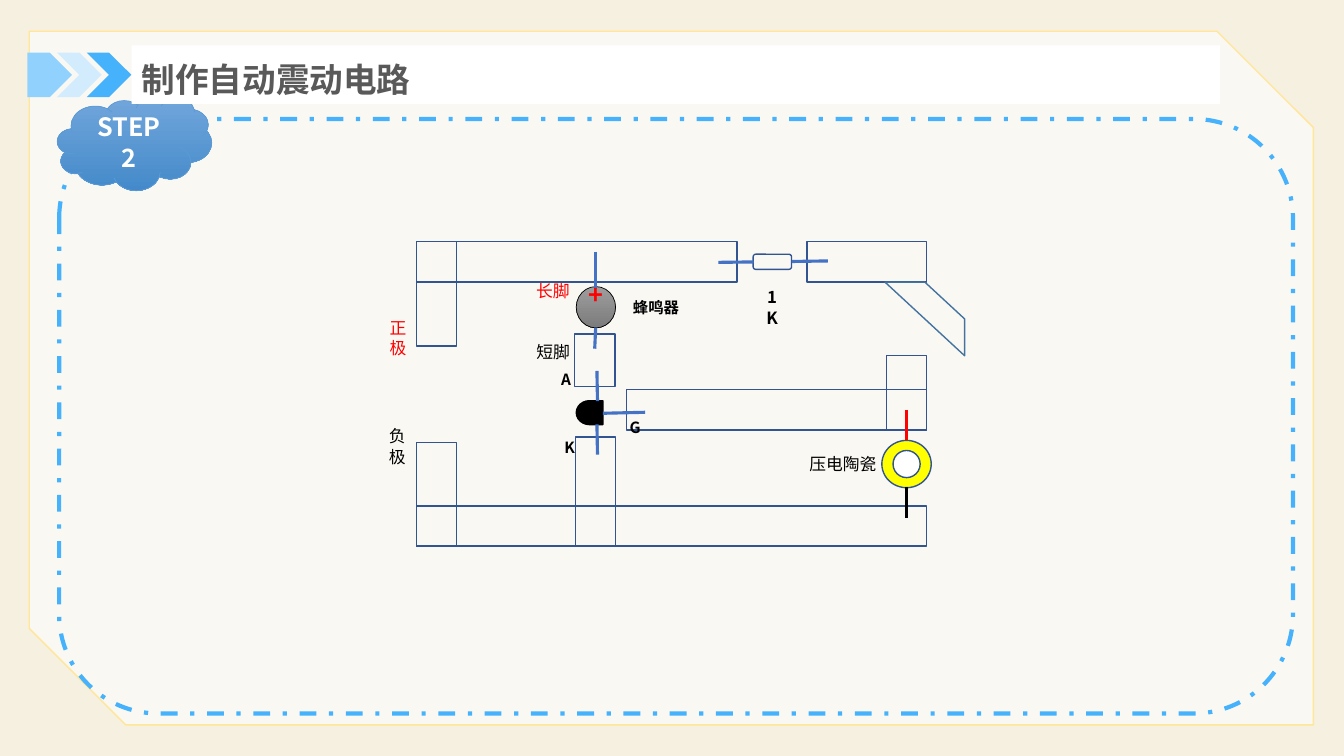
from dataclasses import dataclass

from lxml import etree
from pptx import Presentation
from pptx import slide as sl
from pptx import util as u
from pptx.dml import color, fill as fills
from pptx.enum import dml, shapes, text
from pptx.oxml import ns
from pptx.text import text as txt

Kind = shapes.MSO_SHAPE
Box = tuple[float, float, float, float]  # left, top, width, height
Point = tuple[float, float]


@dataclass(frozen=True)
class Theme:
    font: str = "Noto Sans CJK SC"
    page: str = "F6F0E1"
    panel: str = "FAF8F3"
    panel_edge: str = "FFE699"
    sky: str = "46B2FC"
    sky_mid: str = "91D1FD"
    sky_pale: str = "D2ECFE"
    cloud_edge: str = "5B9BD5"
    cloud_shade: tuple[str, str] = ("71A6DB", "448ACA")
    buzzer_shade: tuple[str, str] = ("9D9D9D", "7C7C7C")
    foil: str = "325491"
    fold: str = "43739E"
    lead: str = "4472C4"
    heading: str = "595959"
    red: str = "FF0000"
    yellow: str = "FFFF00"
    black: str = "000000"
    white: str = "FFFFFF"
    title_size: float = 24
    step_size: float = 18
    label_size: float = 12
    pin_size: float = 11


THEME = Theme()


@dataclass(frozen=True)
class Part:
    kind: Kind
    box: Box
    fill: str | tuple[str, str] | None = None  # a pair shades from top to bottom
    line: str | None = THEME.foil
    weight: float = 1
    rotation: float = 0
    adjust: tuple[float, ...] = ()


@dataclass(frozen=True)
class Lead:
    start: Point
    end: Point
    color: str = THEME.lead


@dataclass(frozen=True)
class Label:
    words: str
    box: Box
    size: float = THEME.label_size
    color: str = THEME.black
    bold: bool = False
    wrap: bool = True
    align: text.PP_ALIGN = text.PP_ALIGN.LEFT


STRIP = 28.8  # width of every foil strip
LEFT, RIGHT = 297.5, 662
TOP, BOTTOM = 172.6, 390.2
GATE_TOP = 278.4

PANEL = Part(Kind.SNIP_2_DIAG_RECTANGLE, (20.9, 22.3, 917.3, 495.4), THEME.panel,
             THEME.panel_edge, adjust=(0, 0.139))
FRAME = Part(Kind.ROUNDED_RECTANGLE, (42.3, 85, 881.3, 424.6), None, THEME.sky, 3)
CLOUD = Part(Kind.CLOUD, (41, 69.8, 110.2, 66.2), THEME.cloud_shade, THEME.cloud_edge, 0.5)
TITLE_BOX: Box = (94, 32.4, 777.6, 41.8)

ARROWS = [
    Part(kind, (19.5 + 21.2 * step, 37.5, 31.9, 31.9), shade, None)
    for step, (kind, shade) in enumerate([
        (Kind.PENTAGON, THEME.sky_mid),
        (Kind.CHEVRON, THEME.sky_pale),
        (Kind.CHEVRON, THEME.sky),
    ])
]

STRIPS = [Part(Kind.RECTANGLE, box) for box in [
    (LEFT, TOP, STRIP, 74.5),
    (LEFT, TOP, 229, STRIP),
    (RIGHT - 85.7, TOP, 85.7, STRIP),
    (LEFT, BOTTOM - 74.2, STRIP, 74.2),
    (LEFT, BOTTOM - STRIP, RIGHT - LEFT, STRIP),
    (411, 312, STRIP, BOTTOM - 312),
    (410.6, 238.5, STRIP, 37.4),
    (RIGHT - 214.6, GATE_TOP, 214.6, STRIP),
    (RIGHT - STRIP, 254, STRIP, 53.2),
]]

COMPONENTS = [
    Part(Kind.DIAGONAL_STRIPE, (634.3, 199.4, 52.6, 56.9), line=THEME.fold, rotation=90),
    Part(Kind.OVAL, (411.6, 204.7, 28.1, 29.5), THEME.buzzer_shade, THEME.black, 0.5),
    Part(Kind.ROUNDED_RECTANGLE, (538, 181.6, 27.4, 10.8)),
    Part(Kind.FLOWCHART_DELAY, (411.6, 286.2, 19, 17.1), THEME.black, THEME.black, rotation=180),
    Part(Kind.OVAL, (629.9, 314.6, 35.3, 33.8), THEME.yellow),
    Part(Kind.OVAL, (637.9, 321.8, 19.4, 19.4), THEME.white),
]

LEADS = [
    Lead((425.5, 179.8), (425.5, 206.6)),
    Lead((425.5, 234), (424.8, 249.1)),
    Lead((565.6, 186.8), (591.3, 186.4)),
    Lead((513.2, 187.4), (538.3, 187.1)),
    Lead((426.4, 265), (426.8, 286.6)),
    Lead((426.4, 303.1), (426.8, 324.7)),
    Lead((430.6, 295.2), (460.8, 294.5)),
    Lead((647.4, 314.6), (647.4, 292.6), THEME.red),
    Lead((647.4, 370.1), (647.4, 347.8), THEME.black),
]

LABELS = [
    Label("+", (413.3, 195.8, 23.8, 28.8), THEME.step_size, THEME.red, True, False),
    Label("长脚", (375.8, 196.8, 39.6, 21.6), color=THEME.red),
    Label("短脚", (376, 240.5, 41, 21.6)),
    Label("1K", (537.8, 201.6, 27.4, 21.6), bold=True, align=text.PP_ALIGN.CENTER),
    Label("A", (393.8, 261, 19.8, 20.2), THEME.pin_size, bold=True),
    Label("K", (396, 309.6, 20.2, 20.2), THEME.pin_size, bold=True, wrap=False),
    Label("G", (442.6, 295.2, 20.2, 20.2), THEME.pin_size, bold=True, wrap=False),
    Label("正极", (271.2, 223.2, 27.4, 36), color=THEME.red),
    Label("负极", (270.7, 300.8, 27.4, 36)),
    Label("压电陶瓷", (571, 320.4, 70.6, 21.6)),
    Label("蜂鸣器", (445, 209.5, 47.5, 20.2), THEME.pin_size, bold=True, wrap=False),
]


def rgb(code: str) -> color.RGBColor:
    return color.RGBColor.from_string(code)


def write(frame: txt.TextFrame, words: str, size: float, shade: str, bold: bool,
          align: text.PP_ALIGN) -> None:
    frame.text = words
    paragraph = frame.paragraphs[0]
    paragraph.alignment = align
    for run in paragraph.runs:
        run.font.size, run.font.bold, run.font.name = u.Pt(size), bold, THEME.font
        run.font.color.rgb = rgb(shade)
        etree.SubElement(run.font._element, ns.qn("a:ea"), typeface=THEME.font)


def paint(fill: fills.FillFormat, shade: str | tuple[str, str] | None) -> None:
    if shade is None:
        fill.background()
    elif isinstance(shade, str):
        fill.solid()
        fill.fore_color.rgb = rgb(shade)
    else:
        fill.gradient()
        fill.gradient_angle = 270
        for stop, code in zip(fill.gradient_stops, shade):
            stop.color.rgb = rgb(code)


def draw_part(slide: sl.Slide, part: Part):
    shape = slide.shapes.add_shape(part.kind, *map(u.Pt, part.box))
    shape.shadow.inherit = False
    shape.rotation = part.rotation
    for index, value in enumerate(part.adjust):
        shape.adjustments[index] = value
    paint(shape.fill, part.fill)
    paint(shape.line.fill, part.line)
    if part.line:
        shape.line.width = u.Pt(part.weight)
    return shape


def draw_lead(slide: sl.Slide, lead: Lead) -> None:
    wire = slide.shapes.add_connector(
        shapes.MSO_CONNECTOR.STRAIGHT, *map(u.Pt, lead.start + lead.end))
    wire.line.color.rgb = rgb(lead.color)
    wire.line.width = u.Pt(2.25)
    etree.SubElement(wire._element.spPr, ns.qn("a:effectLst"))


def draw_label(slide: sl.Slide, label: Label) -> None:
    frame = slide.shapes.add_textbox(*map(u.Pt, label.box)).text_frame
    frame.word_wrap = label.wrap
    frame.auto_size = text.MSO_AUTO_SIZE.SHAPE_TO_FIT_TEXT
    write(frame, label.words, label.size, label.color, label.bold, label.align)


def place_title(slide: sl.Slide, words: str) -> None:
    """Format the title and bring it in front of the cloud."""
    title = slide.shapes.title
    title.left, title.top, title.width, title.height = map(u.Pt, TITLE_BOX)
    paint(title.fill, THEME.white)
    frame = title.text_frame
    frame.vertical_anchor = text.MSO_ANCHOR.TOP
    frame.auto_size = text.MSO_AUTO_SIZE.NONE
    write(frame, words, THEME.title_size, THEME.heading, True, text.PP_ALIGN.LEFT)
    frame.paragraphs[0].line_spacing = 1.2
    slide.shapes._spTree.append(title._element)


def main() -> None:
    deck = Presentation()
    deck.slide_width, deck.slide_height = u.Pt(960), u.Pt(540)
    slide = deck.slides.add_slide(deck.slide_layouts.get_by_name("Title Only"))
    paint(slide.background.fill, THEME.page)
    for part in [PANEL, *ARROWS]:
        draw_part(slide, part)
    draw_part(slide, FRAME).line.dash_style = dml.MSO_LINE.DASH_DOT
    cloud = draw_part(slide, CLOUD)
    write(cloud.text_frame, "STEP 2", THEME.step_size, THEME.white, True, text.PP_ALIGN.CENTER)
    for part in STRIPS + COMPONENTS:
        draw_part(slide, part)
    for lead in LEADS:
        draw_lead(slide, lead)
    for label in LABELS:
        draw_label(slide, label)
    place_title(slide, "制作自动震动电路")
    deck.save("out.pptx")


if __name__ == "__main__":
    main()
